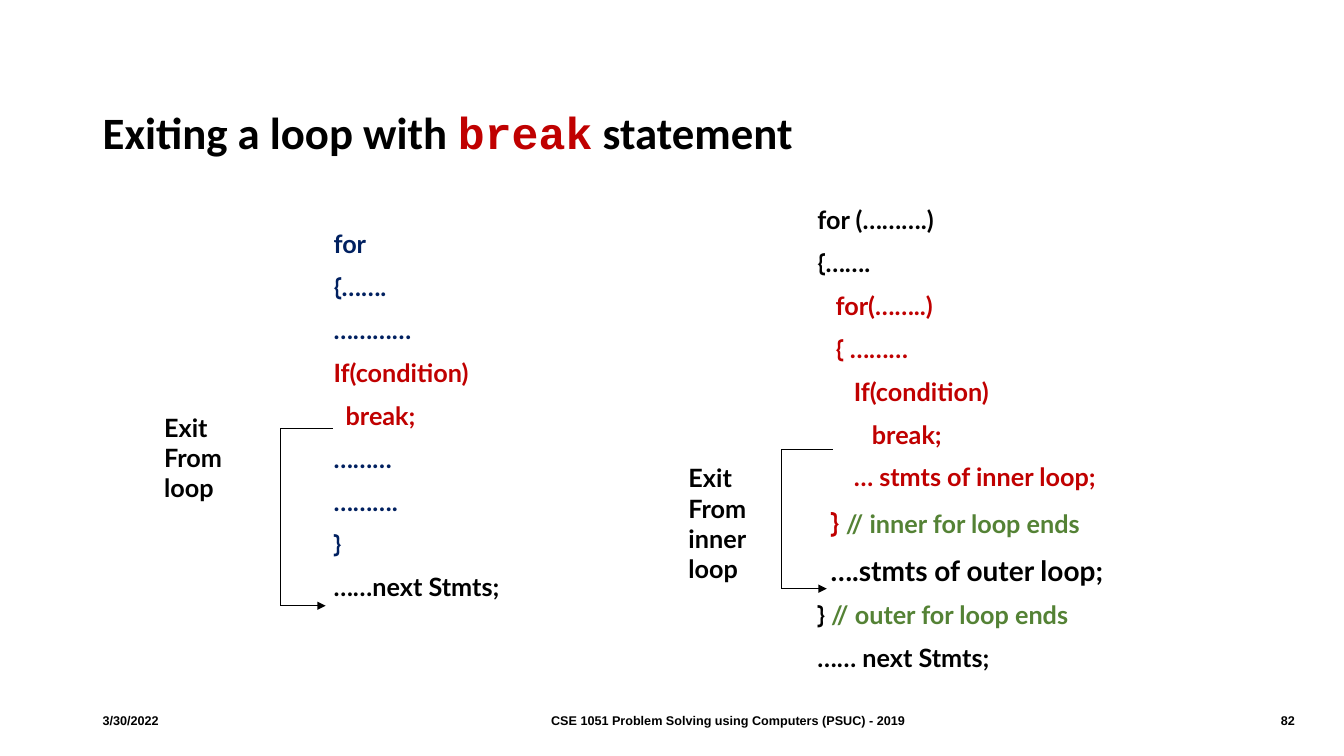
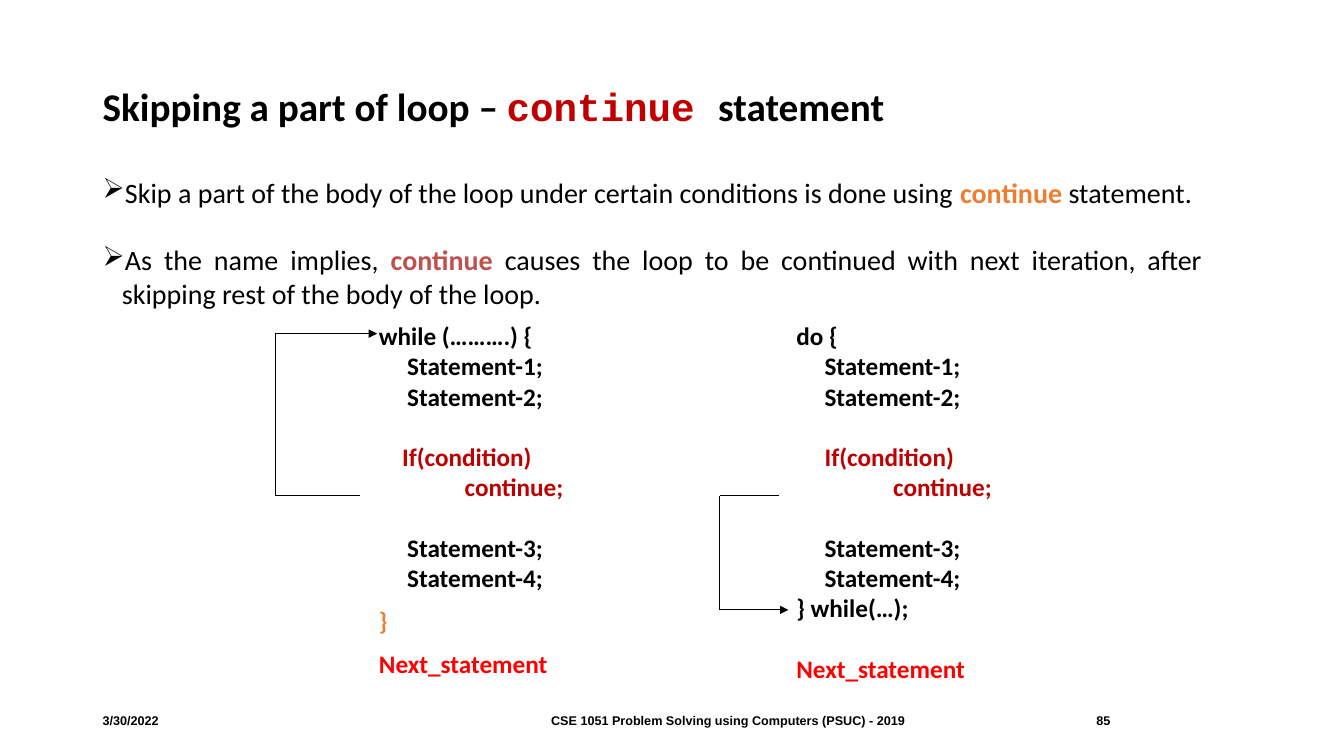
from dataclasses import dataclass

from lxml import etree
from pptx import Presentation
from pptx.dml.color import RGBColor
from pptx.enum.shapes import MSO_CONNECTOR
from pptx.enum.text import MSO_ANCHOR, PP_ALIGN
from pptx.oxml.ns import qn
from pptx.util import Emu, Pt

# Shared style: 100 px to the inch
PX = 9144
SLIDE_W, SLIDE_H = 1333, 750

BLACK = RGBColor(0x00, 0x00, 0x00)
NAVY = RGBColor(0x00, 0x20, 0x60)
CRIMSON = RGBColor(0xC0, 0x00, 0x00)
RED = RGBColor(0xFF, 0x00, 0x00)
GREEN = RGBColor(0x54, 0x82, 0x35)
ORANGE = RGBColor(0xED, 0x7D, 0x31)
BRICK = RGBColor(0xC0, 0x50, 0x4D)

CALIBRI, LATO, CABIN = "Calibri", "Lato", "Cabin"
COURIER, ARIAL = "Courier New", "Arial"

TOP, MIDDLE = MSO_ANCHOR.TOP, MSO_ANCHOR.MIDDLE
LEFT, CENTER = PP_ALIGN.LEFT, PP_ALIGN.CENTER
RIGHT, JUSTIFY = PP_ALIGN.RIGHT, PP_ALIGN.JUSTIFY
STRAIGHT = MSO_CONNECTOR.STRAIGHT

MARGIN = 92
HALF_LINE, FULL_LINE = 9, 21.6  # points before an 18 pt line
FOOTER = "CSE 1051 Problem Solving using Computers (PSUC) - 2019"


@dataclass
class Run:
    """Text with whatever differs from its text box."""
    text: str
    color: RGBColor = None
    font: str = None
    size: float = None
    bold: bool = None


@dataclass
class Line:
    """One paragraph: its runs, left indent in px and space before in points."""
    runs: list
    indent: int = 0
    before: float = 0
    hang: int = 0
    bullet: str = ""


def px(n):
    return Emu(n * PX)


def line(text, color=None, indent=0, before=0):
    return Line([Run(text, color)], indent, before)


def add_text(slide, box, lines, size, font, color=BLACK, bold=True,
             align=LEFT, anchor=TOP, spacing=None):
    tf = slide.shapes.add_textbox(*map(px, box)).text_frame
    tf.word_wrap = True
    tf.vertical_anchor = anchor
    for i, item in enumerate(lines):
        p = tf.paragraphs[0] if i == 0 else tf.add_paragraph()
        p.alignment = align
        p.space_before = Pt(item.before)
        if spacing:
            p.line_spacing = spacing
        pPr = p._p.get_or_add_pPr()
        pPr.set("marL", str(px(item.indent)))
        pPr.set("indent", str(px(-item.hang)))
        if item.bullet:
            etree.SubElement(pPr, qn("a:buChar")).set("char", item.bullet)
        for part in item.runs:
            r = p.add_run()
            r.text = part.text
            r.font.name = part.font or font
            r.font.size = Pt(part.size or size)
            r.font.bold = bold if part.bold is None else part.bold
            r.font.color.rgb = part.color or color


def add_arrow_path(slide, points):
    """Straight segments through the points, with an arrowhead on the last."""
    for start, end in zip(points, points[1:]):
        c = slide.shapes.add_connector(STRAIGHT, *map(px, start + end))
        c.line.color.rgb = BLACK
        c.line.width = Pt(0.75)
        if end == points[-1]:
            ln = c.line._get_or_add_ln()
            etree.SubElement(ln, qn("a:tailEnd")).set("type", "triangle")
        etree.SubElement(c._element.spPr, qn("a:effectLst"))


def add_bracket(slide, start, spine_x, end):
    """Path from start, along a vertical spine, to an arrowhead at end."""
    add_arrow_path(slide, [start, (spine_x, start[1]), (spine_x, end[1]), end])


def add_frame(prs, title, title_box, title_size, number, number_box):
    """Blank slide with the title and the footer row."""
    slide = prs.slides.add_slide(prs.slide_layouts[6])
    add_text(slide, title_box, [Line(title)], title_size, CALIBRI,
             anchor=MIDDLE, spacing=0.9)
    for text, box, align in (("3/30/2022", (MARGIN, 695, 126, 40), LEFT),
                             (FOOTER, (242, 695, 960, 40), CENTER),
                             (number, number_box, RIGHT)):
        add_text(slide, box, [line(text)], 9, ARIAL, align=align, anchor=MIDDLE)
    return slide


def add_loop(slide, box, lines, label, label_box, start, spine_x, end):
    """Code listing with a labelled exit arrow; positions relative to box."""
    x, y, w, h = box
    add_text(slide, box, lines, 18, LATO)
    lx, ly, lw, lh = label_box
    add_text(slide, (x + lx, y + ly, lw, lh), [line(t) for t in label], 18, LATO)
    add_bracket(slide, (x + start[0], y + start[1]), x + spine_x,
                (x + end[0], y + end[1]))


def build_break_slide(prs):
    slide = add_frame(
        prs,
        [Run("Exiting a loop with "), Run("break", CRIMSON, COURIER),
         Run(" statement")],
        (MARGIN, 106, 888, 56), 32, "82", (1242, 695, 52, 40))

    # Single loop
    single = [
        line("for", NAVY),
        Line([Run("{", NAVY, CABIN), Run("…….", NAVY)]),
        line("…………", NAVY),
        line("If(condition)", CRIMSON),
        line("break;", CRIMSON, 12),
        line("………", NAVY),
        line("……….", NAVY),
        Line([Run("}", NAVY, CABIN)]),
        line("……next Stmts;"),
    ]
    # Nested loops
    nested = [
        line("for (……….)"),
        Line([Run("{", font=CABIN), Run("…….")]),
        line("for(……..)", CRIMSON, 18),
        Line([Run("{", CRIMSON, CABIN), Run(" ………", CRIMSON)], 18),
        line("If(condition)", CRIMSON, 36),
        line("break;", CRIMSON, 54),
        line("… stmts of inner loop;", CRIMSON, 36),
        Line([Run("} ", CRIMSON, CABIN, 20),
              Run("// inner for loop ends", GREEN)], 13),
        Line([Run("….stmts of outer loop;", size=20)], 13),
        Line([Run("} ", font=CABIN), Run("// outer for loop ends", GREEN)]),
        line("…… next Stmts;"),
    ]
    for lines in (single, nested):
        for item in lines[1:]:
            item.before = (item.runs[0].size or 18) / 2

    add_loop(slide, (321, 222, 219, 404), single, ("Exit", "From", "loop"),
             (-168, 182, 128, 101), (9, 203), -43, (2, 379))
    add_loop(slide, (801, 198, 403, 505), nested,
             ("Exit", "From", "inner", "loop"),
             (-128, 256, 89, 131), (25, 248), -26, (19, 386))


def build_continue_slide(prs):
    slide = add_frame(
        prs,
        [Run("Skipping a part of loop – "), Run("continue ", CRIMSON, COURIER),
         Run("statement")],
        (MARGIN, 80, 862, 56), 28, "85", (749, 700, 362, 30))

    # Explanation
    points = [
        [Run("Skip a part of the body of the loop under certain conditions "
             "is done using "),
         Run("continue", ORANGE, bold=True), Run(" statement.")],
        [Run("As the name implies, "), Run("continue ", BRICK, bold=True),
         Run("causes the loop to be continued with next iteration, after "
             "skipping rest of the body of the loop.")],
    ]
    add_text(slide, (MARGIN, 169, 1110, 145),
             [Line(runs, 19, 24 * i, 19, "➢") for i, runs in enumerate(points)],
             20, CALIBRI, bold=False, align=JUSTIFY)

    # Loops side by side: opening, condition indents, closing
    def body(opening, if_indent, continue_indent):
        return [line(opening),
                line("Statement-1;", indent=28),
                line("Statement-2;", indent=28),
                line("If(condition)", CRIMSON, if_indent, FULL_LINE),
                line("continue;", CRIMSON, continue_indent),
                line("Statement-3;", indent=28, before=FULL_LINE),
                line("Statement-4;", indent=28)]

    while_loop = body("while (……….) {", 23, 85) + [
        line("}", ORANGE, before=HALF_LINE),
        line("Next_statement", RED, before=HALF_LINE)]
    do_loop = body("do {", 28, 96) + [
        line("} while(…);"),
        line("Next_statement", RED, before=FULL_LINE)]
    for x, lines in ((366, while_loop), (780, do_loop)):
        add_text(slide, (x, 313, 295, 374), lines, 18, CALIBRI)

    # Jumps back to each loop test
    add_bracket(slide, (357, 492), 273, (374, 331))
    add_bracket(slide, (773, 492), 714, (782, 605))


def main():
    prs = Presentation()
    prs.slide_width, prs.slide_height = px(SLIDE_W), px(SLIDE_H)
    build_break_slide(prs)
    build_continue_slide(prs)
    prs.save("out.pptx")


if __name__ == "__main__":
    main()
